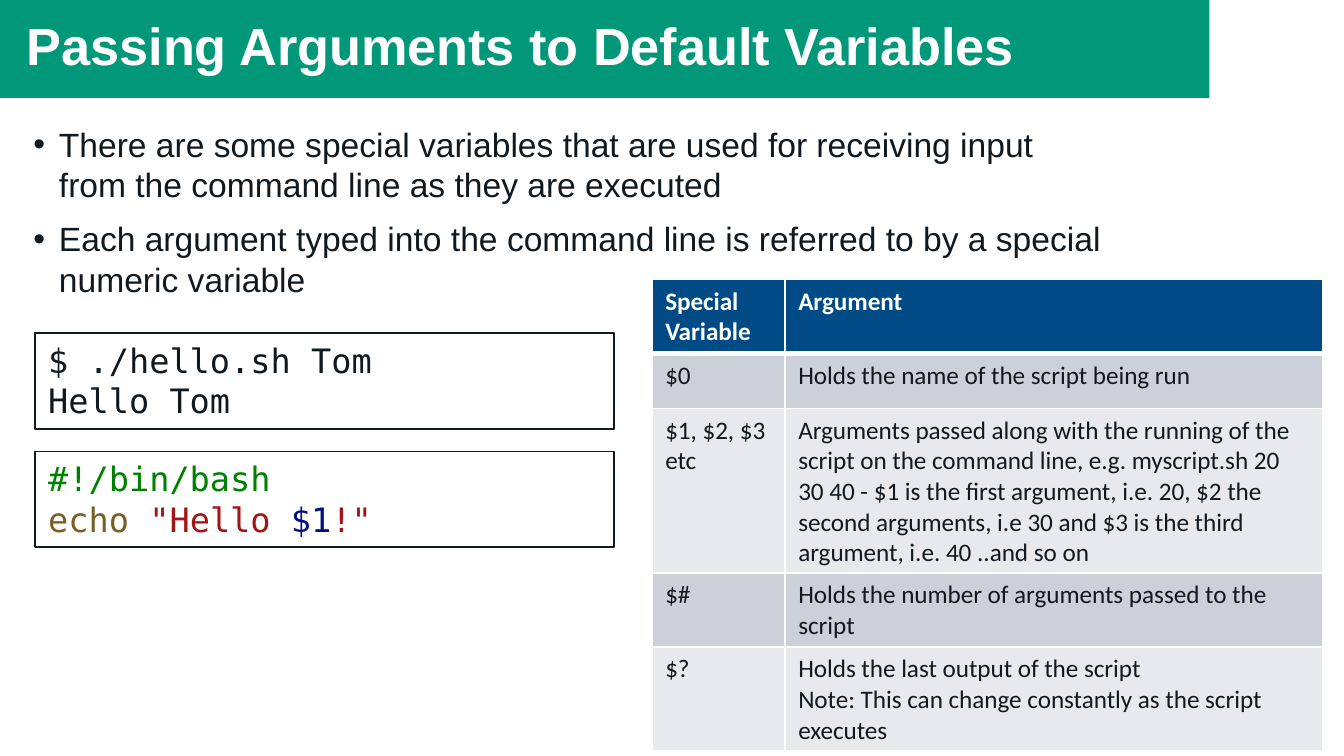
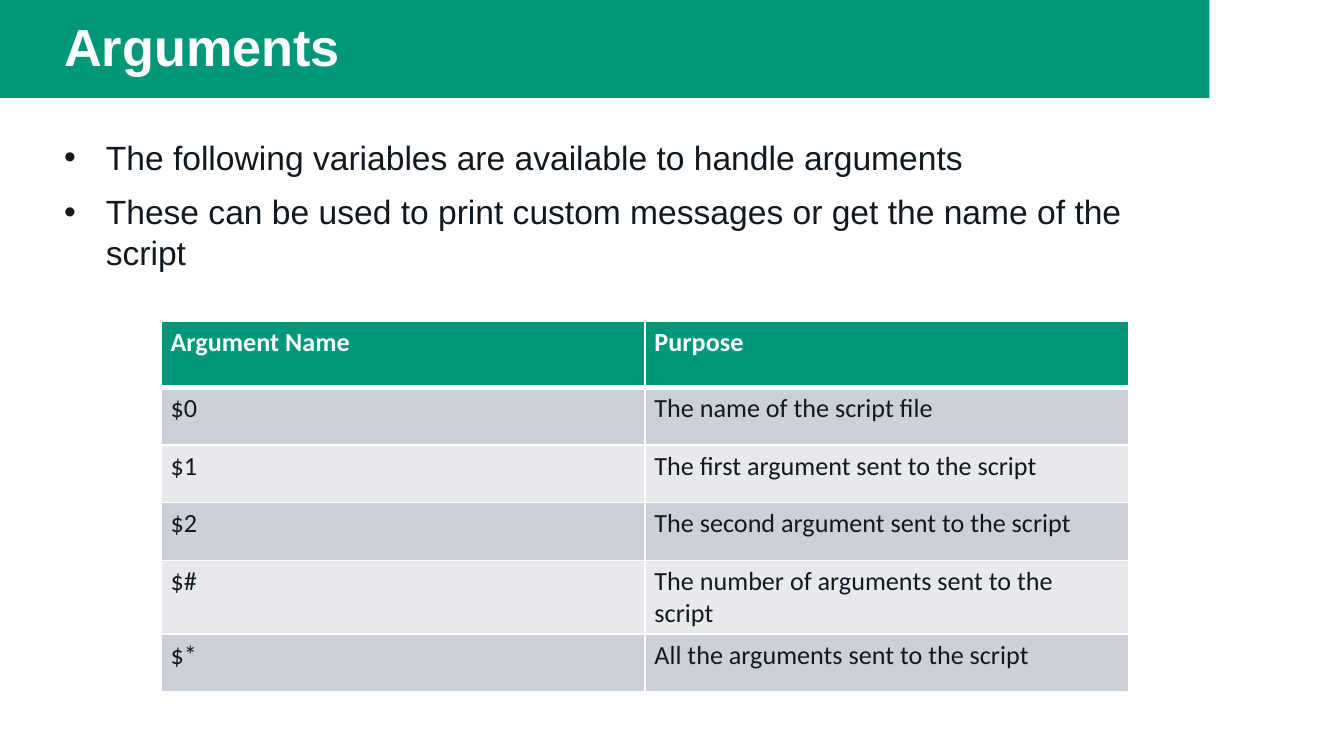
"""Build two slides on passing arguments to shell scripts."""
from pptx import Presentation, util as u
from pptx.dml.color import RGBColor
from pptx.enum import shapes, text
from pptx.oxml.ns import qn
from lxml import etree

COLORS = {
    "band": "009878", "navy": "004B85", "ink": "101920", "white": "FFFFFF",
    "odd": "CCD0D9", "even": "E7E9ED", "comment": "008000",
    "command": "795E26", "string": "A31515", "variable": "001080",
}


class Deck:
    def __init__(self):
        self.prs = Presentation()
        self.prs.slide_width = u.Inches(10)
        self.prs.slide_height = u.Inches(10) * 9 // 16
        self.s = None

    def color(self, name):
        return RGBColor.from_string(COLORS[name])

    def slide(self):
        self.s = self.prs.slides.add_slide(self.prs.slide_layouts[6])
        self.rect((0, 0, 9, 0.73), "band")

    def rect(self, box, fill, line=None):
        sp = self.s.shapes.add_shape(shapes.MSO_SHAPE.RECTANGLE, *map(u.Inches, box))
        sp.shadow.inherit = False
        sp.fill.solid()
        sp.fill.fore_color.rgb = self.color(fill)
        if line:
            sp.line.color.rgb = self.color(line)
            sp.line.width = u.Pt(1)
        else:
            sp.line.fill.background()
        return sp

    def run(self, p, words, size, font="Arial", color="ink", bold=False):
        r = p.add_run()
        r.text = words
        r.font.size = u.Pt(size)
        r.font.name = font
        r.font.bold = bold
        r.font.color.rgb = self.color(color)

    def paragraphs(self, tf, count):
        return [tf.paragraphs[0]] + [tf.add_paragraph() for _ in range(count - 1)]

    def text_frame(self, box):
        tf = self.s.shapes.add_textbox(*map(u.Inches, box)).text_frame
        tf.word_wrap = True
        return tf

    def title(self, words, box):
        tf = self.text_frame(box)
        tf.vertical_anchor = text.MSO_ANCHOR.MIDDLE
        p = tf.paragraphs[0]
        p.line_spacing = 0.9
        self.run(p, words, 28, color="white", bold=True)

    def bullets(self, items, box, indent):
        tf = self.text_frame(box)
        for p, words in zip(self.paragraphs(tf, len(items)), items):
            p.space_before = u.Pt(7.5)
            pPr = p._p.get_or_add_pPr()
            pPr.set("marL", str(u.Inches(indent)))
            pPr.set("indent", str(-u.Inches(indent)))
            etree.SubElement(pPr, qn("a:buFont"), typeface="Arial")
            etree.SubElement(pPr, qn("a:buChar"), char="•")
            self.run(p, words, 18)

    def code(self, lines, box):
        tf = self.rect(box, "white", "ink").text_frame
        tf.word_wrap = True
        tf.auto_size = text.MSO_AUTO_SIZE.SHAPE_TO_FIT_TEXT
        tf.vertical_anchor = text.MSO_ANCHOR.TOP
        for p, line in zip(self.paragraphs(tf, len(lines)), lines):
            p.alignment = text.PP_ALIGN.LEFT
            for words, color in line:
                self.run(p, words, 18, "DejaVu Sans Mono", color)

    def borders(self, cell, **widths):
        tcPr = cell._tc.get_or_add_tcPr()
        for i, side in enumerate("LRTB"):
            ln = etree.Element(qn(f"a:ln{side}"), w=str(u.Pt(widths.get(side, 1))))
            fill = etree.SubElement(ln, qn("a:solidFill"))
            etree.SubElement(fill, qn("a:srgbClr"), val=COLORS["white"])
            tcPr.insert(i, ln)

    def table(self, rows, at, cols, heights, head, size, margins=(0.1, 0.1, 0.05)):
        box = (*at, sum(cols), sum(heights))
        tbl = self.s.shapes.add_table(len(rows), len(cols), *map(u.Inches, box)).table
        left, right, vertical = map(u.Inches, margins)
        for col, width in zip(tbl.columns, cols):
            col.width = u.Inches(width)
        for i, (row, height) in enumerate(zip(rows, heights)):
            tbl.rows[i].height = u.Inches(height)
            fill = head if i == 0 else "odd" if i % 2 else "even"
            for j, words in enumerate(row):
                cell = tbl.cell(i, j)
                cell.margin_left, cell.margin_right = left, right
                cell.margin_top = cell.margin_bottom = vertical
                cell.fill.solid()
                cell.fill.fore_color.rgb = self.color(fill)
                self.borders(cell, T=3 if i == 1 else 1, B=3 if i == 0 else 1)
                lines = words.split("\n")
                for p, line in zip(self.paragraphs(cell.text_frame, len(lines)), lines):
                    self.run(p, line, size, "Calibri", "ink" if i else "white", i == 0)


def passing_arguments(deck):
    deck.slide()
    deck.bullets([
        "There are some special variables that are used for receiving input "
        "from the command line as they are executed",
        "Each argument typed into the command line is referred to by a special "
        "numeric variable",
    ], (0.15, 0.87, 8.21, 1.52), 0.19)
    deck.title("Passing Arguments to Default Variables", (0.1, 0.08, 8.62, 0.56))
    deck.code([
        [("#!/bin/bash", "comment")],
        [("echo ", "command"), ("\"Hello ", "string"), ("$1", "variable"), ("!\"", "string")],
    ], (0.26, 3.36, 4.31, 0.71))
    deck.code([[("$ ./hello.sh Tom", "ink")], [("Hello Tom", "ink")]],
              (0.26, 2.48, 4.31, 0.71))
    deck.table([
        ("Special Variable", "Argument"),
        ("$0", "Holds the name of the script being run"),
        ("$1, $2, $3 etc",
         "Arguments passed along with the running of the script on the command line, "
         "e.g. myscript.sh 20 30 40 - $1 is the first argument, i.e. 20, $2 the second "
         "arguments, i.e 30 and $3 is the third argument, i.e. 40 ..and so on"),
        ("$#", "Holds the number of arguments passed to the script"),
        ("$?", "Holds the last output of the script\n"
               "Note: This can change constantly as the script executes"),
    ], (4.85, 2.08), (0.99, 4), [0.41] * 5, "navy", 13.5)


def arguments(deck):
    deck.slide()
    deck.bullets([
        "The following variables are available to handle arguments",
        "These can be used to print custom messages or get the name of the script",
    ], (0.38, 0.97, 8.54, 4.09), 0.31)
    deck.title("Arguments", (0.38, 0, 8.62, 0.74))
    deck.table([
        ("Argument Name", "Purpose"),
        ("$0", "The name of the script file"),
        ("$1", "The first argument sent to the script"),
        ("$2", "The second argument sent to the script"),
        ("$#", "The number of arguments sent to the script"),
        ("$*", "All the arguments sent to the script"),
    ], (1.2, 2.39), (3.6, 3.6), [0.49] + [0.43] * 5, "band", 14, (0.07, 0.1, 0.04))


def main():
    deck = Deck()
    passing_arguments(deck)
    arguments(deck)
    deck.prs.save("out.pptx")


if __name__ == "__main__":
    main()
